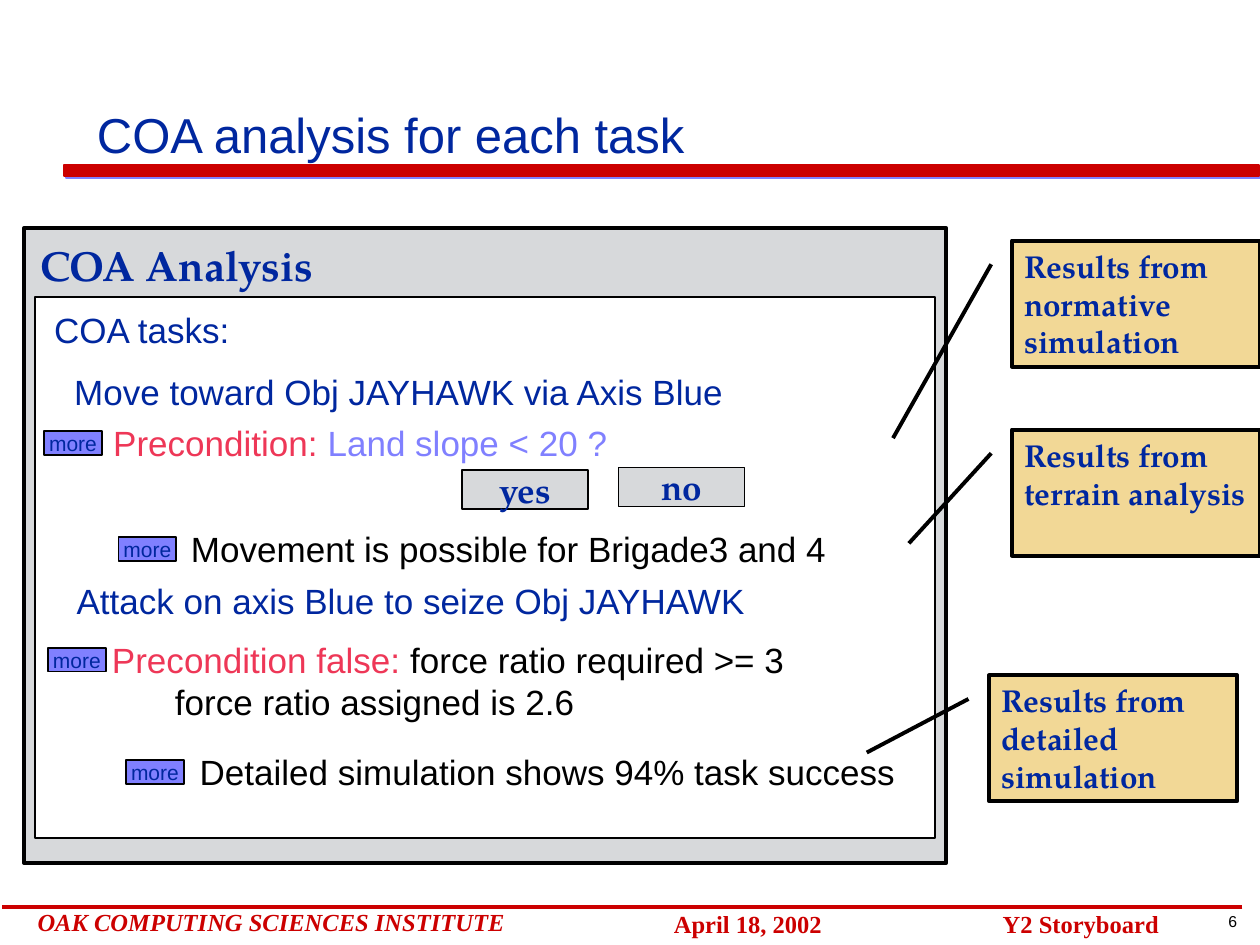
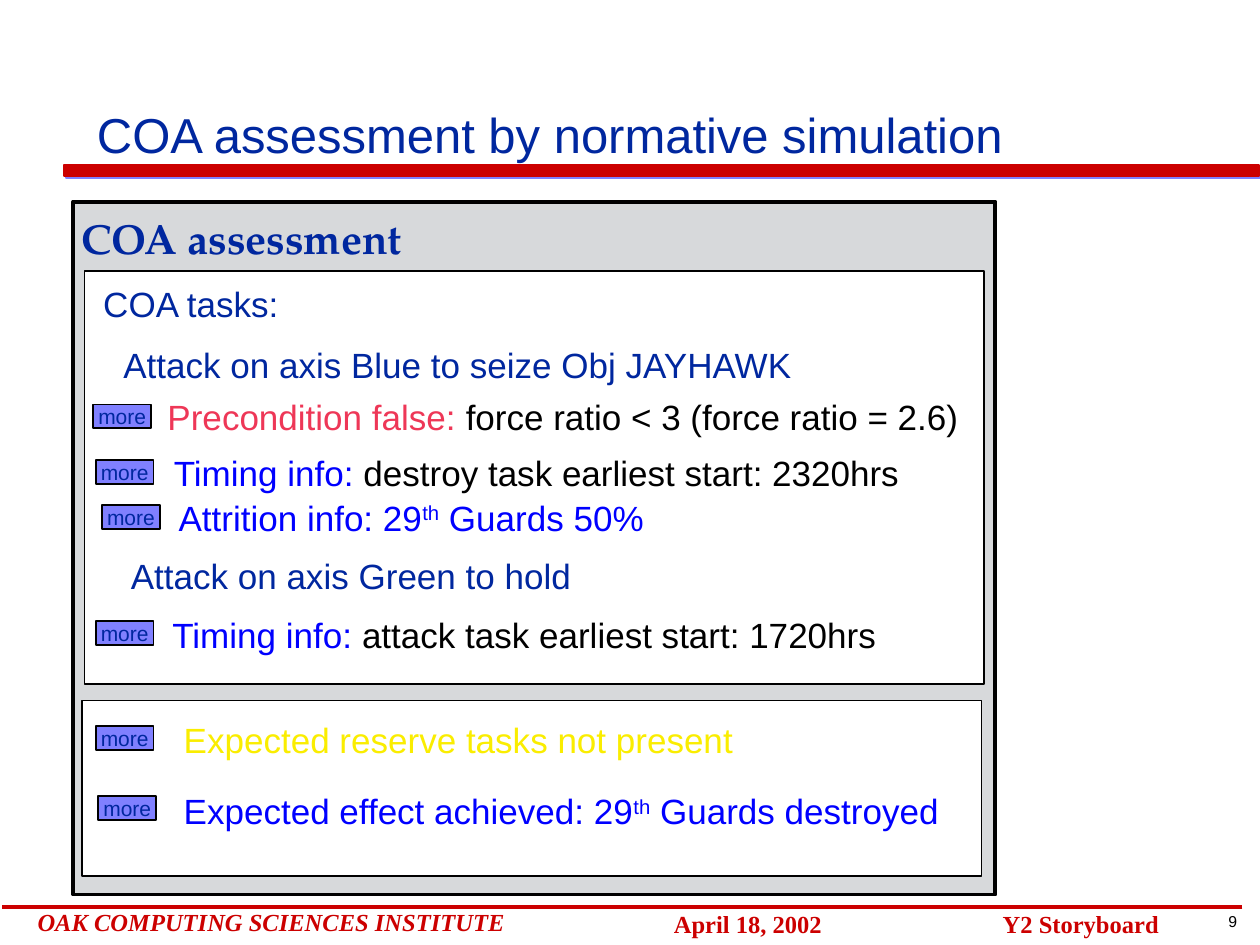
from lxml.etree import SubElement
from pptx import Presentation
from pptx.dml.color import RGBColor
from pptx.enum.shapes import MSO_CONNECTOR, MSO_SHAPE
from pptx.enum.text import MSO_ANCHOR, MSO_AUTO_SIZE, PP_ALIGN
from pptx.oxml.ns import qn
from pptx.util import Pt

SANS, SERIF, ROMAN = "Arial", "TeX Gyre Pagella", "Times New Roman"
NAVY, BLUE, VIOLET = "00279F", "0000FF", "8080FF"
RED, ROSE, YELLOW = "CC0000", "EE3757", "FAED00"
BLACK, WHITE, GREY, SAND = "000000", "FFFFFF", "D7D9DB", "F2D896"
MID, TOP, LOW = MSO_ANCHOR.MIDDLE, MSO_ANCHOR.TOP, MSO_ANCHOR.BOTTOM
ROW, INNER = 31.7, 514.1


def tint(hue):
    """Turn a hex string into a colour."""
    return RGBColor.from_string(hue)


def write(shape, *lines, size=20, font=SANS, hue=NAVY, bold=False, slant=False,
          align=PP_ALIGN.LEFT, anchor=TOP, wrap=True):
    """Fill a shape with lines, each a string or a list of (text, hue, lift) runs."""
    frame = shape.text_frame
    frame.auto_size = MSO_AUTO_SIZE.NONE
    frame.word_wrap = wrap
    frame.vertical_anchor = anchor
    for num, line in enumerate(lines):
        para = frame.add_paragraph() if num else frame.paragraphs[0]
        para.alignment = align
        for text, shade, *lift in [(line, hue)] if isinstance(line, str) else line:
            run = para.add_run()
            run.text = text
            face = run.font
            face.size, face.name = Pt(size), font
            face.bold, face.italic = bold, slant
            face.color.rgb = tint(shade)
            if lift:
                run._r.get_or_add_rPr().set("baseline", str(lift[0] * 1000))
    return shape


def label(slide, left, top, width, *lines, high=ROW, **look):
    """Add a text box."""
    box = slide.shapes.add_textbox(Pt(left), Pt(top), Pt(width), Pt(high))
    return write(box, *lines, **look)


def block(slide, left, top, width, high, fill, line=BLACK, thick=1, kind=MSO_SHAPE.RECTANGLE):
    """Add a filled and outlined shape without shadow."""
    shape = slide.shapes.add_shape(kind, Pt(left), Pt(top), Pt(width), Pt(high))
    shape.shadow.inherit = False
    shape.fill.solid()
    shape.fill.fore_color.rgb = tint(fill)
    shape.line.color.rgb = tint(line)
    shape.line.width = Pt(thick)
    return shape


def button(slide, left, top, text, width=72, high=22.3, fill=GREY, **look):
    """Add a button with centred text."""
    shape = block(slide, left, top, width, high, fill)
    write(shape, text, align=PP_ALIGN.CENTER, anchor=MID, wrap=False, **look)


def row(slide, spot, left, top, width, *lines, high=ROW):
    """Add a line of findings with its more button."""
    label(slide, left, top, width, *lines, high=high)
    button(slide, *spot, "more", width=33.1, high=13.7, fill=VIOLET, size=12)


def callout(slide, left, top, text, drop, reach):
    """Add a note whose pointer ends at the given share of its size."""
    shape = block(slide, left, top, 141.8, 72, SAND, thick=2.25, kind=MSO_SHAPE.LINE_CALLOUT_1)
    for num, part in enumerate((0.188, -0.083, drop, reach)):
        shape.adjustments[num] = part
    write(shape, text, size=18, font=SERIF, bold=True)


def panel(slide, left, top, high, inner, head, shift, width, task, span):
    """Add the grey window with its heading, white pane and first task."""
    block(slide, left, top, 527, high, GREY, thick=2.25)
    label(slide, left + shift, top + 2.9, width, head, high=36, size=24,
          font=SERIF, bold=True, wrap=False)
    block(slide, left + 6.5, top + 39.6, INNER, inner, WHITE)
    label(slide, left + 10.1, top + 42.5, 115.9, "COA tasks:", wrap=False)
    label(slide, left + 21.6, top + 77.8, span, task, wrap=False)


def shade(shape, hue):
    """Give a shape a small hard shadow to the lower right."""
    glow = SubElement(shape.element.spPr.find(qn("a:effectLst")), qn("a:outerShdw"),
                      dist=str(Pt(1.4)), dir="2700000", algn="ctr", rotWithShape="0")
    SubElement(glow, qn("a:srgbClr"), val=hue)


def dress(slide):
    """Draw the band and footer, then move them to the shared layout."""
    layout = slide.slide_layout
    for spare in list(layout.placeholders)[1:]:
        spare.element.getparent().remove(spare.element)
    band = block(slide, 36.7, 94.3, 682.6, 6.5, RED, line=RED)
    shade(band, VIOLET)
    rule = slide.shapes.add_connector(MSO_CONNECTOR.STRAIGHT, Pt(709.9), Pt(518.4), Pt(1.4), Pt(518.4))
    rule.line.color.rgb = tint(RED)
    rule.line.width = Pt(2)
    SubElement(rule.element.spPr, qn("a:effectLst"))
    look = dict(high=23.8, size=14, font=ROMAN, hue=RED, bold=True)
    foot = [label(slide, 14.4, 514.8, 313.9, "OAK COMPUTING SCIENCES INSTITUTE", slant=True, **look),
            label(slide, 565.9, 516.2, 118.1, "Y2 Storyboard", **look),
            label(slide, 378, 516.2, 118.1, "April 18, 2002", **look)]
    for shape in [band, rule, *foot]:
        layout.shapes.element.append(shape.element)


def start(deck, title, page):
    """Add a slide with its title and page number."""
    slide = deck.slides.add_slide(deck.slide_layouts[5])
    head = slide.shapes.title
    head.left, head.top, head.width, head.height = Pt(48.2), Pt(6.5), Pt(610.6), Pt(90.7)
    write(head, title, size=28, anchor=LOW)
    label(slide, 676.8, 517.7, 55.4, page, high=18, size=9, hue=BLACK,
          align=PP_ALIGN.CENTER, wrap=False)
    return slide


def tasks(slide):
    """Build the analysis of each task."""
    panel(slide, 13.7, 130.3, 362.9, 308.9, "COA Analysis", 2.2, 176.4,
          "Move toward Obj JAYHAWK via Axis Blue", 388.1)
    row(slide, (25.2, 246.2), 57.6, 237.6, 470.9,
        [("Precondition: ", ROSE), ("Land slope < 20 ?", VIOLET)])
    button(slide, 264.2, 268.6, "yes", font=SERIF, bold=True)
    button(slide, 353.5, 267.1, "no", font=SERIF, bold=True)
    row(slide, (67.7, 306.7), 96.5, 298.1, 437,
        [(" Movement is possible for Brigade3 and 4", BLACK)])
    label(slide, 36.7, 327.6, 398.2, "Attack on axis Blue to seize Obj JAYHAWK", wrap=False)
    row(slide, (27.4, 370.1), 56.9, 361.4, 483.8,
        [("Precondition false: ", ROSE), ("force ratio required >= 3", BLACK)],
        [("\tforce ratio assigned is 2.6", BLACK)], high=55.4)
    row(slide, (72, 434.2), 101.5, 425.5, 417.6,
        [(" Detailed simulation shows 94% task success", BLACK)])
    callout(slide, 578.2, 137.5, "Results from normative simulation", 1.568, -0.479)
    callout(slide, 578.2, 245.5, "Results from terrain analysis", 0.903, -0.415)
    callout(slide, 565.2, 385.9, "Results from detailed simulation", 0.613, -0.493)


def rating(slide):
    """Build the assessment by simulation."""
    panel(slide, 41.8, 115.2, 396, 236.2, "COA assessment", -2.2, 211.7,
          "Attack on axis Blue to seize Obj JAYHAWK", 398.2)
    block(slide, 46.8, 400.3, INNER, 100.1, WHITE)
    row(slide, (53.3, 231.1), 88.6, 222.5, 483.8,
        [("Precondition false: ", ROSE), ("force ratio < 3 (force ratio = 2.6)", BLACK)])
    row(slide, (54.7, 262.8), 92.2, 254.2, 440.6,
        [("Timing info: ", BLUE), ("destroy task earliest start: 2320hrs", BLACK)])
    row(slide, (58.3, 288.7), 95, 280.1, 440.6,
        [("Attrition info: 29", BLUE), ("th", BLUE, 30), (" Guards 50%", BLUE)])
    label(slide, 67.7, 313.2, 271.4, "Attack on axis Green to hold", wrap=False)
    row(slide, (54.7, 355), 91.4, 347, 440.6,
        [("Timing info: ", BLUE), ("attack task earliest start: 1720hrs", BLACK)])
    row(slide, (54.7, 414.7), 97.9, 406.8, 391,
        [("Expected reserve tasks not present", YELLOW)])
    row(slide, (56.2, 455), 97.9, 447.8, 460.8,
        [("Expected effect achieved: 29", BLUE), ("th", BLUE, 30), (" Guards destroyed", BLUE)])


def main():
    """Build and save the deck."""
    deck = Presentation()
    deck.slide_width, deck.slide_height = Pt(720), Pt(540)
    first = start(deck, "COA analysis for each task", "6")
    dress(first)
    tasks(first)
    rating(start(deck, "COA assessment by normative simulation", "9"))
    deck.save("out.pptx")


main()
